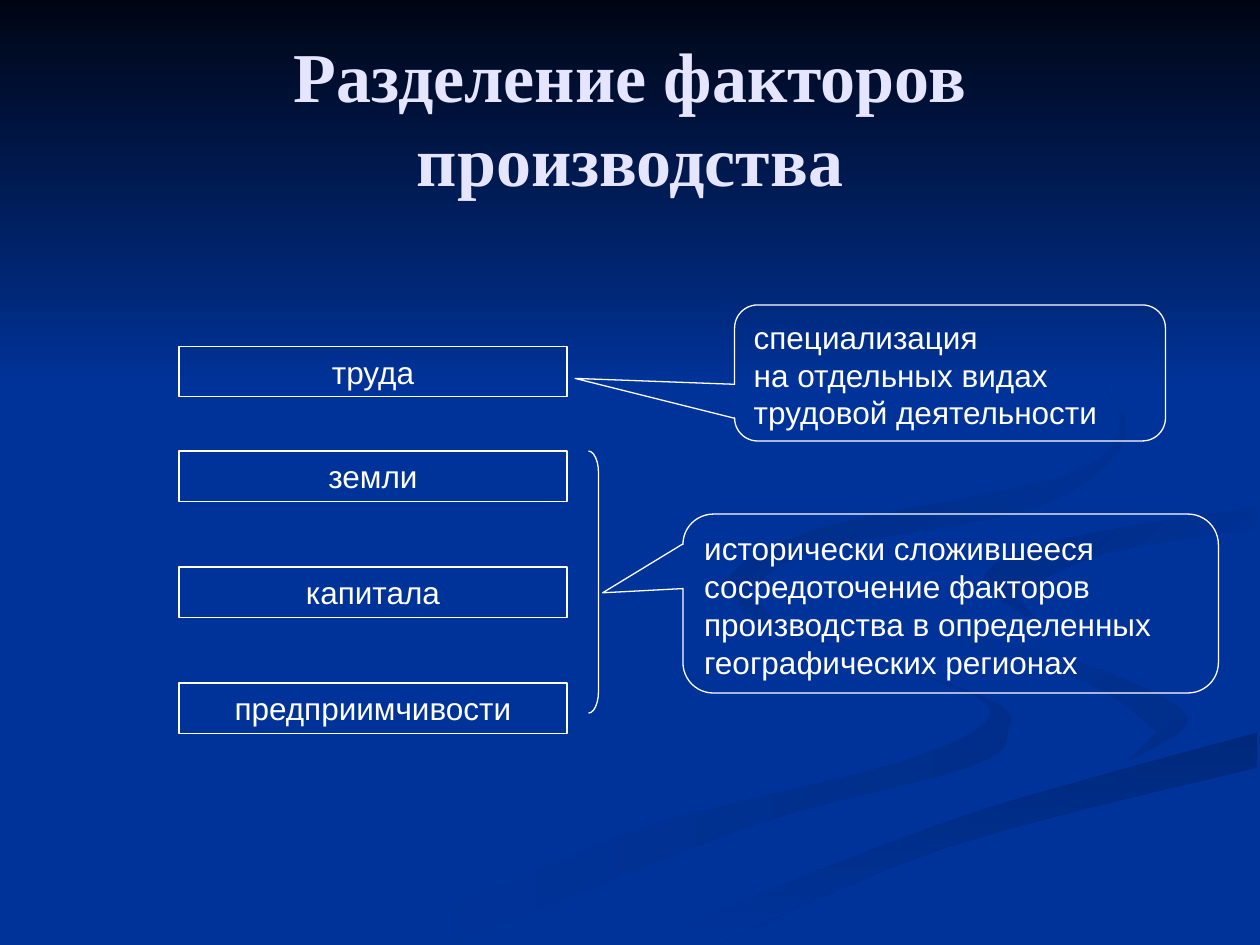
from pptx import Presentation
from pptx.dml.color import RGBColor
from pptx.enum.shapes import MSO_SHAPE
from pptx.enum.text import MSO_ANCHOR, PP_ALIGN
from pptx.util import Inches, Pt

NAVY = "003399"
WHITE = "FFFFFF"
STEPS = 5

RIBBONS = [
    ([[(5.75, 4.59), (6.14, 4.96), (7.81, 5.53), (8, 5.81), (7.69, 6.09), (5.94, 6.56),
       (3.61, 7.49)],
      [(3, 7.49), (4.99, 6.61), (7.14, 6.05), (7.86, 5.66), (7.28, 5.35), (5.93, 4.91)]],
     "002E8A", NAVY, 180),
    ([[(7.24, 4.64), (7.58, 4.98), (8.7, 5.3), (9.43, 5.7), (8.94, 6.05)],
      [(9.18, 5.81), (8.68, 5.44), (7.66, 5.12)]],
     "002E8A", NAVY, 225),
    ([[(5.03, 7.49), (6.3, 6.93), (7.64, 6.47), (9.98, 5.81)],
      [(9.98, 6.09), (7.52, 6.72), (5.71, 7.49)]],
     "00297C", NAVY, 90),
    ([[(4.77, 7.49), (6.63, 6.68), (8.92, 6.05), (9.43, 5.7), (8.71, 5.3), (7.59, 4.98),
       (7.25, 4.64), (7.88, 4.22), (9.99, 3.87)],
      [(9.99, 4.02), (8.5, 4.27), (7.81, 4.63), (8.32, 4.98), (9.99, 5.38)],
      [(9.99, 5.81), (7.65, 6.47), (5.03, 7.49)]],
     NAVY, NAVY, 0),
    ([[(8.26, 4.96), (7.81, 4.6), (8.35, 4.3), (9.98, 4.02)],
      [(9.98, 4.2), (8.78, 4.39), (8.05, 4.72)]],
     NAVY, "002C85", 225),
    ([[(7.62, 2.33), (8.46, 2.79), (8.89, 3.35), (8.42, 3.78), (6.49, 4.2), (5.77, 4.62),
       (6.22, 5)],
      [(5.93, 4.7), (6.49, 4.36), (8.25, 4.02), (8.94, 3.44), (8.54, 2.83)]],
     NAVY, "002B81", 225),
]

FACTORS = [("труда", 2.75), ("земли", 3.58), ("капитала", 4.5), ("предприимчивости", 5.42)]

CALLOUTS = [
    ("специализация\vна отдельных видах трудовой деятельности",
     (5.83, 2.42, 3.42, 1.08), (-0.867, 0.036, 0.167)),
    ("исторически сложившееся сосредоточение факторов производства "
     "в определенных географических регионах",
     (5.42, 4.08, 4.25, 1.42), (-0.648, -0.06, 0.167)),
]


def color(value):
    return RGBColor.from_string(value)


def blend(a, b, c, d, t):
    return b + t / 2 * (c - a + t * (2 * a - 5 * b + 4 * c - d + t * (3 * (b - c) + d - a)))


def smooth_edge(edge):
    ends = [edge[0], *edge, edge[-1]]
    curve = []
    for knots in zip(ends, ends[1:], ends[2:], ends[3:]):
        xs, ys = zip(*knots)
        curve += [(blend(*xs, i / STEPS), blend(*ys, i / STEPS)) for i in range(STEPS)]
    return curve + [edge[-1]]


def paint_gradient(sp, start, end, angle):
    sp.shadow.inherit = False
    sp.line.fill.background()
    sp.fill.gradient()
    sp.fill.gradient_angle = (360 - angle) % 360
    for stop, value in zip(sp.fill.gradient_stops, (start, end)):
        stop.color.rgb = color(value)


def add_backdrop(s, left, top, width, height):
    s.background.fill.solid()
    s.background.fill.fore_color.rgb = color(NAVY)
    for edges, start, end, angle in RIBBONS:
        corners = [(Inches(left + x), Inches(top + y))
                   for edge in edges for x, y in smooth_edge(edge)]
        builder = s.shapes.build_freeform(*corners[0])
        builder.add_line_segments(corners[1:], close=True)
        paint_gradient(builder.convert_to_shape(), start, end, angle)
    band = s.shapes.add_shape(MSO_SHAPE.RECTANGLE, Inches(left), Inches(top),
                              Inches(width), Inches(height))
    paint_gradient(band, "000514", NAVY, 90)


def write(sp, text, size, font, value, align, anchor=MSO_ANCHOR.TOP, bold=False):
    tf = sp.text_frame
    tf.word_wrap = True
    tf.vertical_anchor = anchor
    tf.text = text
    p = tf.paragraphs[0]
    p.alignment = align
    for r in p.runs:
        r.font.size = Pt(size)
        r.font.name = font
        r.font.bold = bold
        r.font.color.rgb = color(value)
    return p


def add_title(s, left, top, width, height):
    sp = s.shapes.add_textbox(Inches(left), Inches(top), Inches(width), Inches(height))
    write(sp, "Разделение факторов производства", 40, "Times New Roman", "E5E5FF",
          PP_ALIGN.CENTER, MSO_ANCHOR.MIDDLE, True)


def add_outline(s, kind, left, top, width, height):
    sp = s.shapes.add_shape(kind, Inches(left), Inches(top), Inches(width), Inches(height))
    sp.shadow.inherit = False
    sp.fill.background()
    sp.line.color.rgb = color(WHITE)
    sp.line.width = Pt(0.75)
    return sp


def add_factor(s, text, left, top, width, height):
    sp = add_outline(s, MSO_SHAPE.RECTANGLE, left, top, width, height)
    p = write(sp, text, 18, "Arial", WHITE, PP_ALIGN.CENTER)
    p.space_before = Pt(11.2)


def add_callout(s, text, box, adjustments):
    sp = add_outline(s, MSO_SHAPE.ROUNDED_RECTANGULAR_CALLOUT, *box)
    for i, value in enumerate(adjustments):
        sp.adjustments[i] = round(value, 2)
    p = write(sp, text, 18, "Arial", WHITE, PP_ALIGN.LEFT)
    p.space_before = Pt(11.2)


def add_bracket(s, left, top, width, height):
    sp = add_outline(s, MSO_SHAPE.RIGHT_BRACKET, left, top, width, height)
    sp.adjustments[0] = 2.16


def main():
    prs = Presentation()
    prs.slide_width, prs.slide_height = Inches(10), Inches(7.5)
    s = prs.slides.add_slide(prs.slide_layouts[6])
    add_backdrop(s, 0, 0, 10, 3.08)
    add_title(s, 0.5, 0.3, 9, 1.25)
    for text, top in FACTORS:
        add_factor(s, text, 1.42, top, 3.08, 0.4)
    for callout in CALLOUTS:
        add_callout(s, *callout)
    add_bracket(s, 4.67, 3.58, 0.08, 2.08)
    prs.save("out.pptx")


if __name__ == "__main__":
    main()
